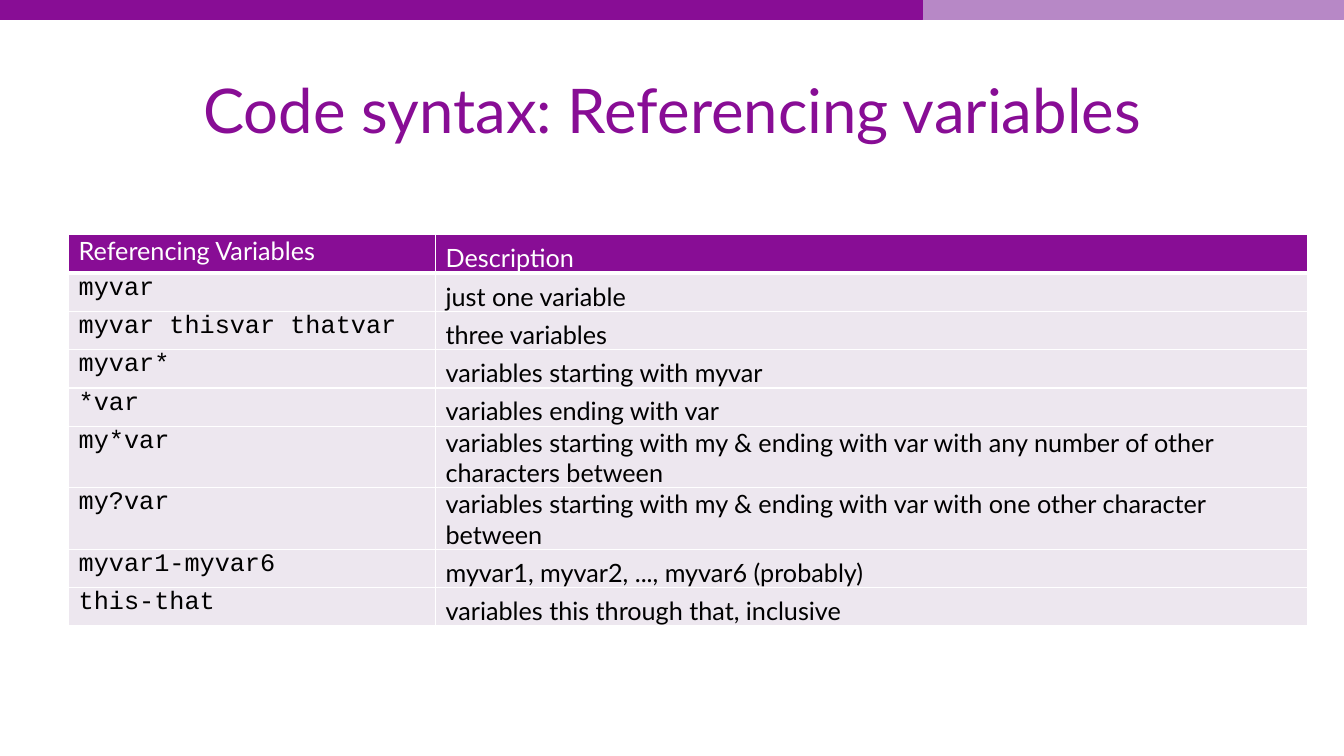
from lxml import etree
from pptx import Presentation
from pptx.dml.color import RGBColor
from pptx.enum.shapes import MSO_SHAPE
from pptx.enum.text import MSO_ANCHOR, PP_ALIGN
from pptx.oxml.ns import qn
from pptx.util import Inches, Pt

RECTANGLE = MSO_SHAPE.RECTANGLE
TOP, MIDDLE, BOTTOM = MSO_ANCHOR.TOP, MSO_ANCHOR.MIDDLE, MSO_ANCHOR.BOTTOM
CENTER = PP_ALIGN.CENTER

COLORS = {
    "purple": "880D95",
    "lilac": "B788C6",
    "row": "EDE7EF",
    "white": "FFFFFF",
    "black": "000000",
}
TEXT_FONT, CODE_FONT = "Lato", "Courier New"

HEADINGS = ("Referencing Variables", "Description")
REFERENCES = [
    ("myvar", "just one variable"),
    ("myvar thisvar thatvar", "three variables"),
    ("myvar*", "variables starting with myvar"),
    ("*var", "variables ending with var"),
    ("my*var", "variables starting with my & ending with var with any number "
               "of other characters between"),
    ("my?var", "variables starting with my & ending with var with one other "
               "character between"),
    ("myvar1-myvar6", "myvar1, myvar2, ..., myvar6 (probably)"),
    ("this-that", "variables this through that, inclusive"),
]


def rgb(name):
    return RGBColor.from_string(COLORS[name])


class SlideBuilder:
    def __init__(self, slide):
        self.slide = slide

    def style_text(self, paragraph, size, font, color):
        for run in paragraph.runs:
            run.font.size = Pt(size)
            run.font.name = font
            run.font.bold = False
            run.font.color.rgb = rgb(color)

    def title(self, text, left, top, width, height):
        title = self.slide.shapes.title
        title.left, title.top = Inches(left), Inches(top)
        title.width, title.height = Inches(width), Inches(height)
        frame = title.text_frame
        frame.text = text
        frame.word_wrap = True
        frame.vertical_anchor = MIDDLE
        heading = frame.paragraphs[0]
        heading.alignment = CENTER
        heading.line_spacing = 0.9
        self.style_text(heading, 44, TEXT_FONT, "purple")

    def band(self, left, width, color):
        band = self.slide.shapes.add_shape(
            RECTANGLE, Inches(left), Inches(-0.01), Inches(width), Inches(0.2))
        band.shadow.inherit = False
        band.fill.solid()
        band.fill.fore_color.rgb = rgb(color)
        band.line.color.rgb = rgb(color)
        band.line.width = Pt(0.75)

    def borders(self, cell, bottom_width):
        """Draw white cell edges; the schema wants them ahead of the fill."""
        properties = cell._tc.get_or_add_tcPr()
        widths = {"a:lnL": 1, "a:lnR": 1, "a:lnT": 1, "a:lnB": bottom_width}
        for position, (tag, width) in enumerate(widths.items()):
            edge = etree.Element(qn(tag), w=str(Pt(width)))
            fill = etree.SubElement(edge, qn("a:solidFill"))
            etree.SubElement(fill, qn("a:srgbClr"), val=COLORS["white"])
            properties.insert(position, edge)

    def cell(self, cell, text, font, color, fill, anchor, bottom_width):
        cell.text_frame.text = text
        cell.vertical_anchor = anchor
        cell.margin_left = Inches(0.1)
        cell.margin_top = cell.margin_right = Inches(0.01)
        cell.margin_bottom = 0
        cell.fill.solid()
        cell.fill.fore_color.rgb = rgb(fill)
        self.style_text(cell.text_frame.paragraphs[0], 18, font, color)
        self.borders(cell, bottom_width)

    def table(self, rows, left, top, column_widths, row_height):
        table = self.slide.shapes.add_table(
            len(rows), len(column_widths), Inches(left), Inches(top),
            Inches(sum(column_widths)), Inches(row_height * len(rows))).table
        table.horz_banding = False
        for column, width in zip(table.columns, column_widths):
            column.width = Inches(width)
        for r, texts in enumerate(rows):
            table.rows[r].height = Inches(row_height)
            header = r == 0
            for c, text in enumerate(texts):
                is_code = c == 0 and not header
                self.cell(
                    table.cell(r, c), text,
                    font=CODE_FONT if is_code else TEXT_FONT,
                    color="white" if header else "black",
                    fill="purple" if header else "row",
                    anchor=TOP if c == 0 else BOTTOM,
                    # The header's lower edge meets the first row's top edge.
                    bottom_width=3 if header else 1)
        if len(rows) > 1:
            self.match_header_edge(table)

    def match_header_edge(self, table):
        """Give the first body row the header's thick edge on top."""
        for cell in table.rows[1].cells:
            cell._tc.tcPr.find(qn("a:lnT")).set("w", str(Pt(3)))


def main():
    presentation = Presentation()
    presentation.slide_width = Inches(13.33)
    presentation.slide_height = Inches(7.5)
    title_only = presentation.slide_layouts[5]
    builder = SlideBuilder(presentation.slides.add_slide(title_only))

    builder.band(9.15, 4.18, "lilac")
    builder.band(0, 9.15, "purple")
    builder.title("Code syntax: Referencing variables", 0.92, 0.4, 11.5, 1.45)
    builder.table([HEADINGS, *REFERENCES], 0.68, 2.33, (3.64, 8.65), 0.38)

    presentation.save("out.pptx")


if __name__ == "__main__":
    main()
